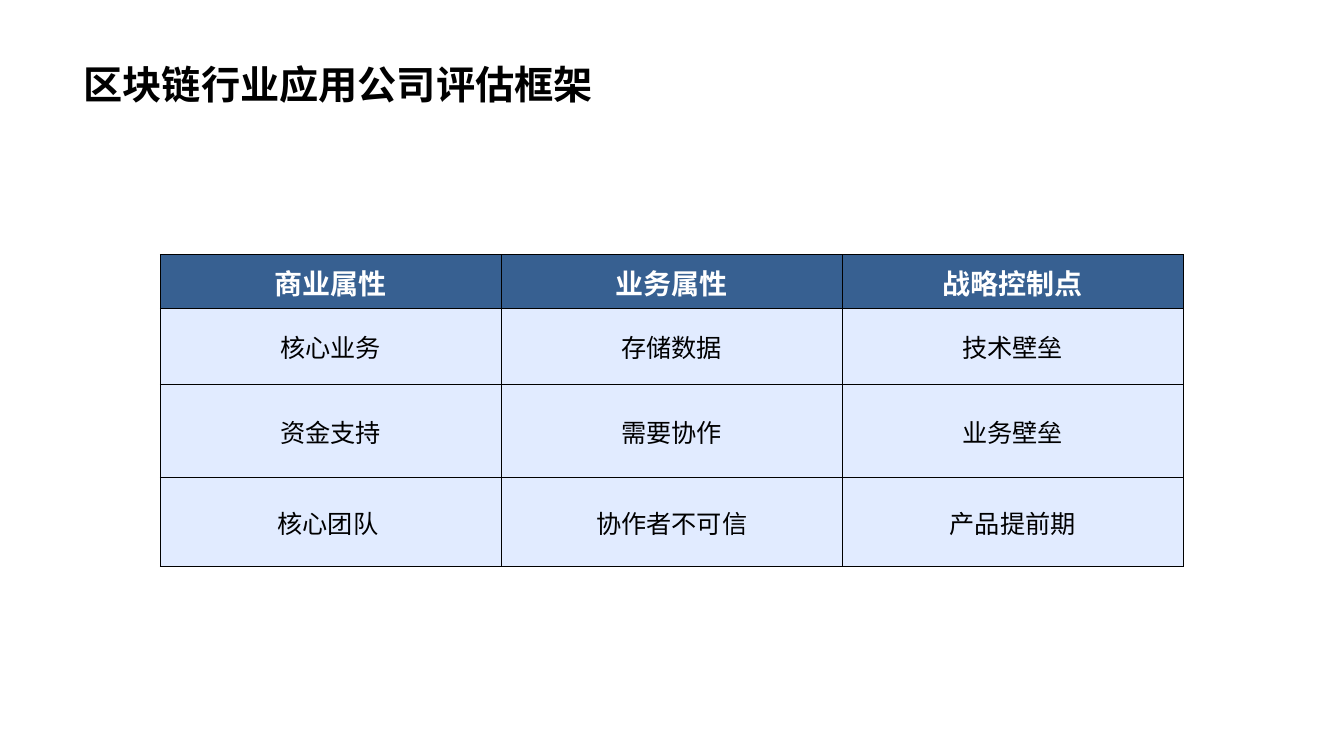
"""Build a slide with an evaluation framework table for blockchain application companies."""
from lxml import etree
from pptx import Presentation
from pptx.dml.color import RGBColor
from pptx.enum import text
from pptx.oxml import ns
from pptx.util import Pt

TITLE = "区块链行业应用公司评估框架"
ROWS = [
    ("商业属性", "业务属性", "战略控制点"),
    ("核心业务", "存储数据", "技术壁垒"),
    ("资金支持", "需要协作", "业务壁垒"),
    ("核心团队 ", "协作者不可信", "产品提前期"),
]
ROW_HEIGHTS = [38.2, 54.3, 66.4, 64.2]
COLUMN_WIDTH = 243.6
TABLE_LEFT, TABLE_TOP = 114.4, 181.8
COLORS = {"header": "376091", "body": "E1EBFF", "light": "FFFFFF", "dark": "000000"}
TITLE_FONT, TABLE_FONT = "Arial", "Noto Sans CJK SC"
BORDER_WIDTH = Pt(0.5)


def color(name):
    return RGBColor.from_string(COLORS[name])


def style_paragraph(paragraph, font_name, size, color_name, bold, alignment):
    paragraph.alignment = alignment
    font = paragraph.font
    font.name, font.size, font.bold = font_name, Pt(size), bold
    font.color.rgb = color(color_name)


def add_borders(cell):
    properties = cell._tc.get_or_add_tcPr()
    for index, side in enumerate(("lnL", "lnR", "lnT", "lnB")):
        line = etree.Element(ns.qn(f"a:{side}"), w=str(BORDER_WIDTH))
        fill = etree.SubElement(line, ns.qn("a:solidFill"))
        etree.SubElement(fill, ns.qn("a:srgbClr"), val=COLORS["dark"])
        properties.insert(index, line)


def fill_cell(cell, label, is_header):
    cell.text = label
    cell.vertical_anchor = text.MSO_ANCHOR.MIDDLE
    cell.margin_left = cell.margin_right = cell.margin_top = Pt(0.75)
    cell.margin_bottom = 0
    cell.fill.solid()
    cell.fill.fore_color.rgb = color("header" if is_header else "body")
    paragraph = cell.text_frame.paragraphs[0]
    style_paragraph(paragraph, TABLE_FONT, 20 if is_header else 18,
                    "light" if is_header else "dark", is_header, text.PP_ALIGN.CENTER)
    etree.SubElement(paragraph.font._rPr, ns.qn("a:ea"), typeface=TABLE_FONT)
    add_borders(cell)


def add_title(slide):
    title = slide.shapes.title
    title.left, title.top, title.width, title.height = Pt(52.6), 0, Pt(854.6), Pt(80.6)
    frame = title.text_frame
    frame.text = TITLE
    frame.auto_size = text.MSO_AUTO_SIZE.NONE
    frame.vertical_anchor = text.MSO_ANCHOR.BOTTOM
    paragraph = frame.paragraphs[0]
    paragraph.line_spacing = 0.9
    style_paragraph(paragraph, TITLE_FONT, 28, "dark", True, text.PP_ALIGN.LEFT)


def add_framework_table(slide):
    column_count = len(ROWS[0])
    table = slide.shapes.add_table(
        len(ROWS), column_count, Pt(TABLE_LEFT), Pt(TABLE_TOP),
        Pt(COLUMN_WIDTH * column_count), Pt(sum(ROW_HEIGHTS))).table
    table.horz_banding = False
    for column in table.columns:
        column.width = Pt(COLUMN_WIDTH)
    for row_index, (labels, height) in enumerate(zip(ROWS, ROW_HEIGHTS)):
        table.rows[row_index].height = Pt(height)
        for column_index, label in enumerate(labels):
            fill_cell(table.cell(row_index, column_index), label, row_index == 0)


def main():
    presentation = Presentation()
    presentation.slide_width, presentation.slide_height = Pt(960), Pt(540)
    slide = presentation.slides.add_slide(presentation.slide_layouts[5])
    add_title(slide)
    add_framework_table(slide)
    presentation.save("out.pptx")


if __name__ == "__main__":
    main()
